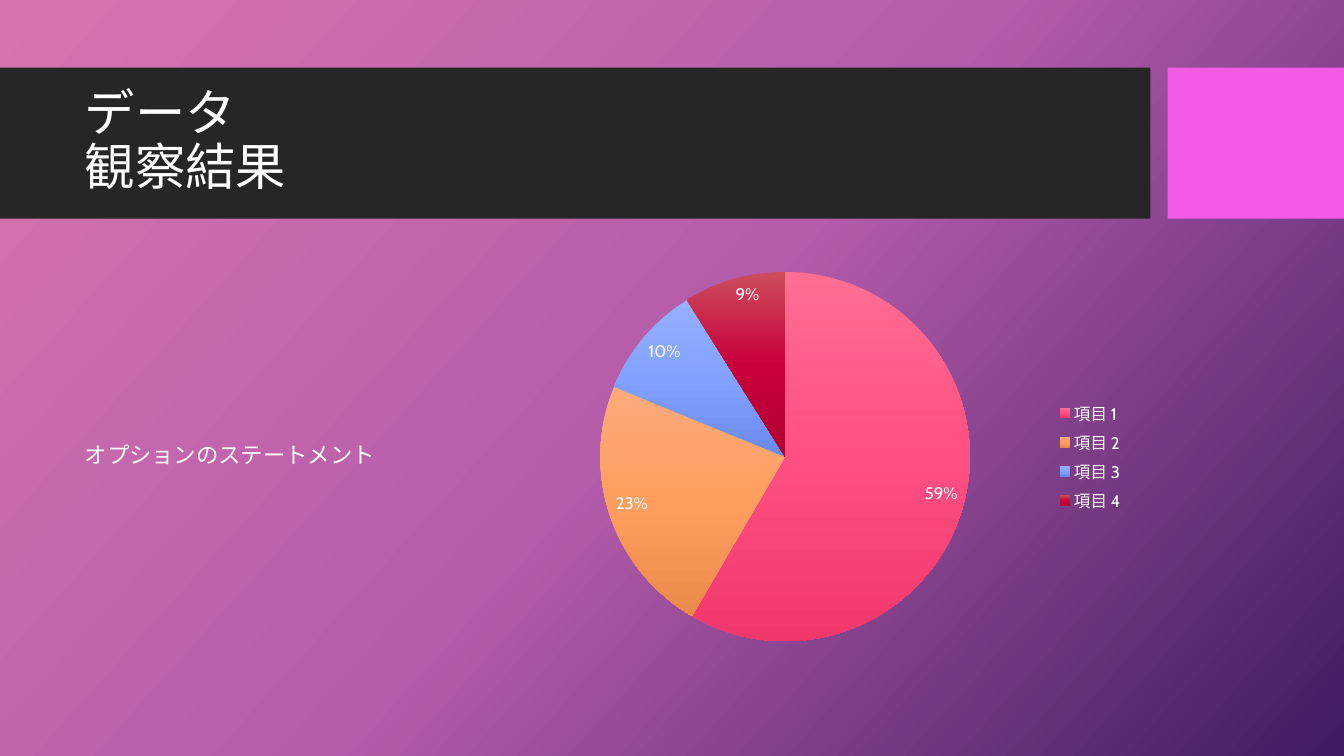
"""Build a slide with a title band, a short statement and a pie chart."""
from copy import deepcopy
from dataclasses import dataclass

from pptx import Presentation
from pptx.chart.data import CategoryChartData
from pptx.dml.color import RGBColor
from pptx.enum.chart import XL_CHART_TYPE, XL_LABEL_POSITION, XL_LEGEND_POSITION
from pptx.enum.shapes import MSO_SHAPE
from pptx.enum.text import MSO_ANCHOR, MSO_AUTO_SIZE, PP_ALIGN
from pptx.oxml.ns import qn
from pptx.oxml.xmlchemy import OxmlElement
from pptx.util import Inches, Pt

TITLE_LINES = ["データ", "観察結果"]
STATEMENT_LINES = ["オプションのステートメント"]
SHARES = {"項目 1": 59, "項目 2": 23, "項目 3": 10, "項目 4": 9}


@dataclass(frozen=True)
class Theme:
    """Colours, fonts and type sizes."""
    text: str = "FFFFFF"
    band: str = "262626"
    accent: str = "F35AE6"
    background: tuple = ("D774AD", "B55CAB", "3E1C5F")
    slices: tuple = (
        ("FE6E93", "FF4F82", "F1386D"),
        ("FBAB7C", "FF9E5E", "EB8A4B"),
        ("96B0FF", "82A2FF", "698BEE"),
        ("CC4D5D", "C8003A", "B20033"),
    )
    text_font: str = "Noto Sans CJK JP"
    chart_font: str = "Cabin"
    title_size: int = 36
    statement_size: int = 16
    label_size: int = 12
    chart_size: int = 10


THEME = Theme()
WIDTH, HEIGHT = 13.33, 7.5
MARGIN, GUTTER = 0.74, 0.24
BAND_TOP, BAND_HEIGHT, BAND_WIDTH, BAND_GAP = 0.67, 1.5, 11.41, 0.17
ACCENT_LEFT = BAND_WIDTH + BAND_GAP
CONTENT_TOP, CONTENT_HEIGHT = 2.56, 3.94
STATEMENT_WIDTH, CHART_WIDTH = 4.14, 6.13
CHART_LEFT = MARGIN + STATEMENT_WIDTH + GUTTER

BANDS = [
    (0, BAND_WIDTH, THEME.band),
    (ACCENT_LEFT, WIDTH - ACCENT_LEFT, THEME.accent),
]


def box(*lengths):
    return [Inches(length) for length in lengths]


def style_font(font, name, size):
    font.name = name
    font.size = Pt(size)
    font.color.rgb = RGBColor.from_string(THEME.text)


def paint_gradient(fill, holder, colors, clockwise_angle):
    fill.gradient()
    gradient = list(holder.iter(qn("a:gradFill")))[-1]
    stop_list = gradient.find(qn("a:gsLst"))
    stop_list.append(deepcopy(stop_list[0]))
    for index, (stop, color) in enumerate(zip(fill.gradient_stops, colors)):
        stop.position = index / (len(colors) - 1)
        stop.color.rgb = RGBColor.from_string(color)
    fill.gradient_angle = 360 - clockwise_angle


def add_band(slide, left, width, color):
    shape = slide.shapes.add_shape(
        MSO_SHAPE.RECTANGLE, *box(left, BAND_TOP, width, BAND_HEIGHT))
    shape.shadow.inherit = False
    shape.fill.solid()
    shape.fill.fore_color.rgb = RGBColor.from_string(color)
    shape.line.fill.background()
    return shape


def fill_placeholder(placeholder, place, lines, size, space_before):
    placeholder.left, placeholder.top, placeholder.width, placeholder.height = box(*place)
    frame = placeholder.text_frame
    frame.word_wrap = True
    frame.auto_size = MSO_AUTO_SIZE.NONE
    frame.vertical_anchor = MSO_ANCHOR.MIDDLE
    paragraph = frame.paragraphs[0]
    paragraph.alignment = PP_ALIGN.LEFT
    paragraph.line_spacing = 0.9
    paragraph.space_before = Pt(space_before)
    properties = paragraph._p.get_or_add_pPr()
    properties.set("marL", "0")
    properties.set("indent", "0")
    properties.append(OxmlElement("a:buNone"))
    for index, line in enumerate(lines):
        if index:
            paragraph.add_line_break()
        run = paragraph.add_run()
        run.text = line
        style_font(run.font, THEME.text_font, size)
        east_asian = OxmlElement("a:ea")
        east_asian.set("typeface", THEME.text_font)
        run.font._element.find(qn("a:latin")).addnext(east_asian)


def add_pie(slide):
    data = CategoryChartData()
    data.categories = list(SHARES)
    data.add_series("Series 1", list(SHARES.values()))
    chart = slide.shapes.add_chart(
        XL_CHART_TYPE.PIE,
        *box(CHART_LEFT, CONTENT_TOP, CHART_WIDTH, CONTENT_HEIGHT), data).chart
    chart.has_title = False
    style_font(chart.font, THEME.chart_font, THEME.chart_size)
    chart.has_legend = True
    chart.legend.position = XL_LEGEND_POSITION.RIGHT
    chart.legend.include_in_layout = False
    style_font(chart.legend.font, THEME.chart_font, THEME.label_size)
    plot = chart.plots[0]
    plot.vary_by_categories = True
    for index, colors in enumerate(THEME.slices):
        point = plot.series[0].points[index]
        paint_gradient(point.format.fill, chart._chartSpace, colors, 90)
        point.format.line.fill.background()
    plot.has_data_labels = True
    labels = plot.data_labels
    labels.show_value = True
    labels.number_format = '0"%"'
    labels.number_format_is_linked = False
    labels.position = XL_LABEL_POSITION.INSIDE_END
    style_font(labels.font, THEME.chart_font, THEME.label_size)


presentation = Presentation()
presentation.slide_width, presentation.slide_height = box(WIDTH, HEIGHT)
slide = presentation.slides.add_slide(presentation.slide_layouts[1])
title, statement = slide.placeholders
paint_gradient(slide.background.fill, slide.element, THEME.background, 42)
for band in BANDS:
    title._element.addprevious(add_band(slide, *band)._element)
fill_placeholder(title, (MARGIN, 0.82, 10.51, 1.18), TITLE_LINES, THEME.title_size, 0)
add_pie(slide)
fill_placeholder(
    statement, (MARGIN, CONTENT_TOP, STATEMENT_WIDTH, CONTENT_HEIGHT),
    STATEMENT_LINES, THEME.statement_size, 10)
presentation.save("out.pptx")
